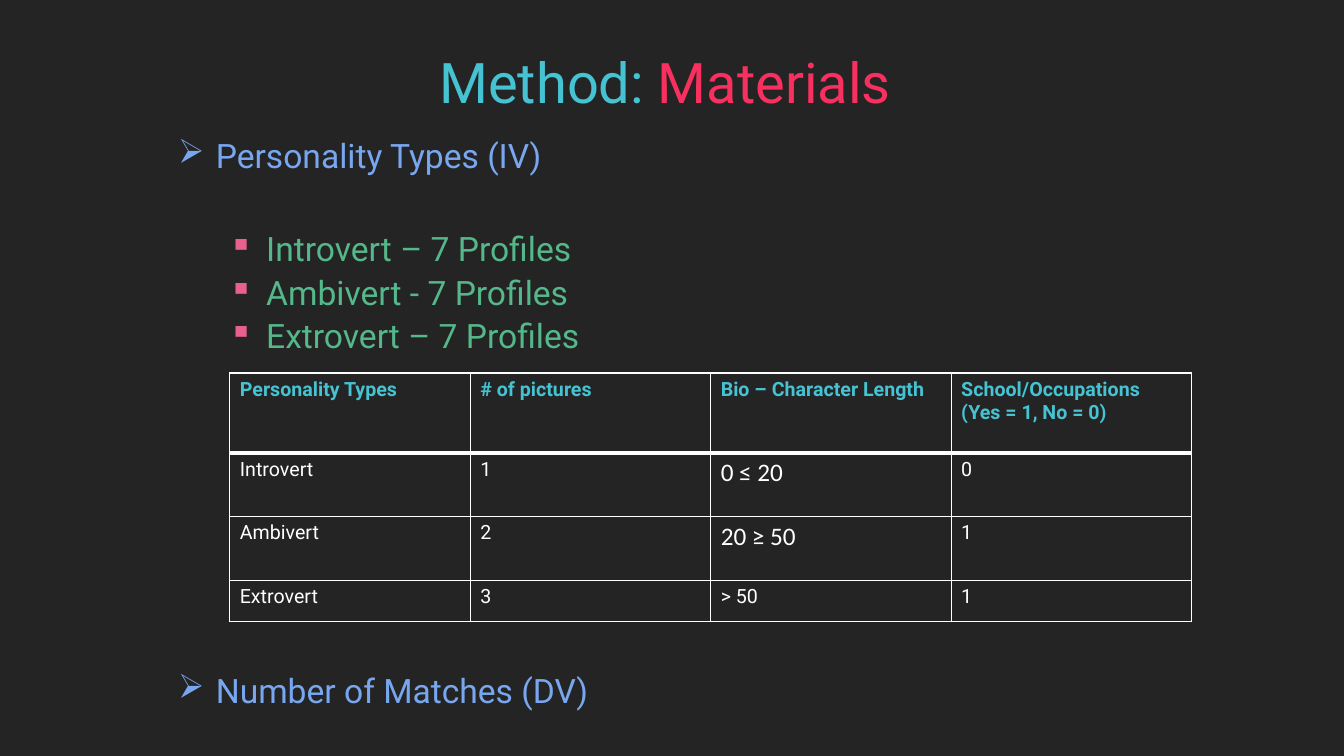
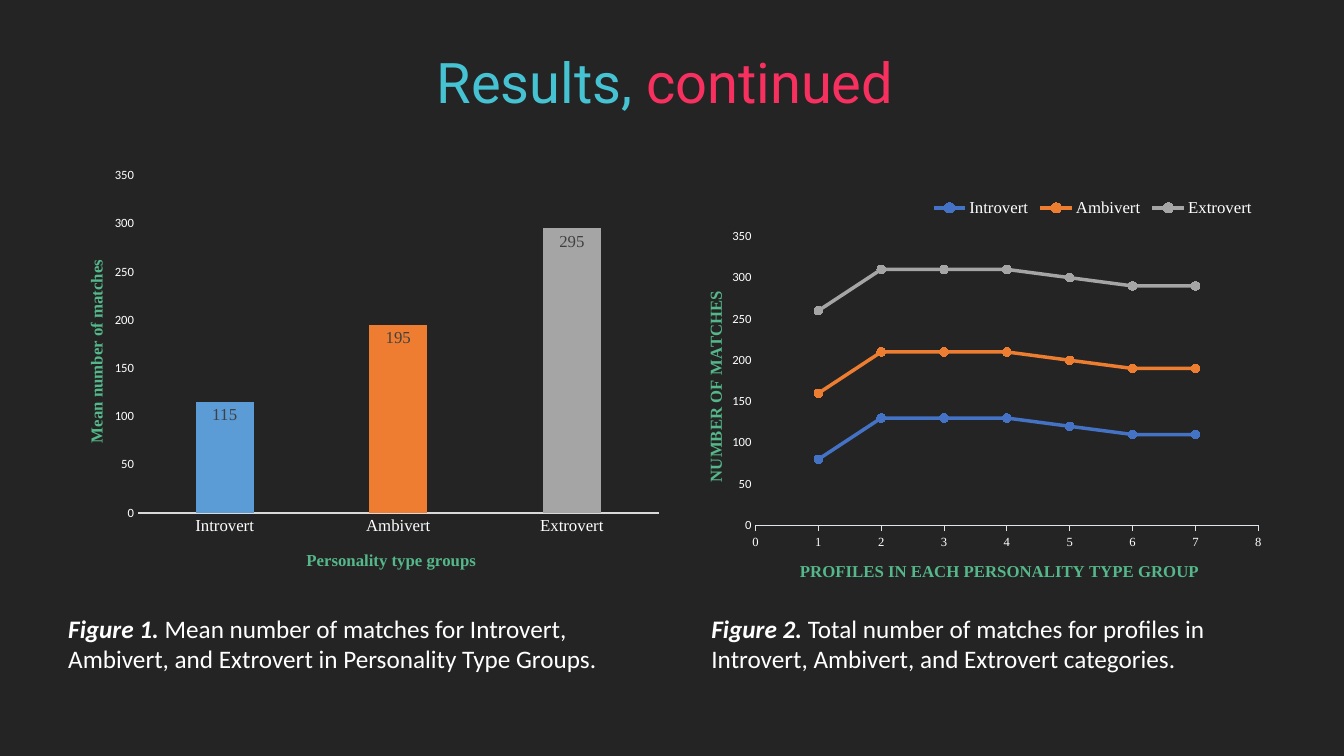
from dataclasses import dataclass

from lxml import etree
from pptx import Presentation
from pptx.chart.data import CategoryChartData, XyChartData
from pptx.dml.color import RGBColor
from pptx.enum.chart import (XL_CHART_TYPE, XL_LABEL_POSITION, XL_LEGEND_POSITION,
                             XL_MARKER_STYLE, XL_TICK_MARK)
from pptx.enum.text import MSO_AUTO_SIZE, PP_ALIGN
from pptx.oxml.ns import qn
from pptx.util import Cm, Pt

COLUMNS = XL_CHART_TYPE.COLUMN_STACKED
CURVES = XL_CHART_TYPE.XY_SCATTER_SMOOTH
INSIDE_END = XL_LABEL_POSITION.INSIDE_END
LEGEND_BOTTOM = XL_LEGEND_POSITION.BOTTOM
CIRCLE = XL_MARKER_STYLE.CIRCLE
TICK_NONE, TICK_IN, TICK_OUT = XL_TICK_MARK.NONE, XL_TICK_MARK.INSIDE, XL_TICK_MARK.OUTSIDE
GROW = MSO_AUTO_SIZE.SHAPE_TO_FIT_TEXT
CENTER = PP_ALIGN.CENTER
SLIDE_WIDTH, SLIDE_HEIGHT = 33.87, 19.05


@dataclass(frozen=True)
class Theme:
    background: str = "242424"
    white: str = "FFFFFF"
    black: str = "000000"
    cyan: str = "46C3D3"
    red: str = "F8305F"
    blue: str = "78A7F0"
    green: str = "55B88A"
    pink: str = "E76090"
    label: str = "404040"
    sans: str = "Roboto"
    plain: str = "Calibri"
    serif: str = "Times New Roman"
    title: int = 40
    body: int = 24
    caption: int = 18
    cell: int = 14
    axis: int = 12
    chart: int = 10
    tick: int = 9


THEME = Theme()


# Shared helpers
def set_all(target, values):
    for name, value in values.items():
        setattr(target, name, value)


def style_font(font, name, size, color, **flags):
    set_all(font, {"name": name, "size": Pt(size), **flags})
    font.color.rgb = RGBColor.from_string(color)


def add_span(para, text, *style, **flags):
    span = para.add_run()
    span.text = text
    style_font(span.font, *style, **flags)


def add_box(page, left, top, width, height, **frame):
    box = page.shapes.add_textbox(Cm(left), Cm(top), Cm(width), Cm(height))
    set_all(box.text_frame, {"word_wrap": True, **frame})
    return box.text_frame


def add_page(deck, lead, accent, title_width):
    page = deck.slides.add_slide(deck.slide_layouts[6])
    fill = page.background.fill
    fill.solid()
    fill.fore_color.rgb = RGBColor.from_string(THEME.background)
    frame = add_box(page, (SLIDE_WIDTH - title_width) / 2, 1.07, title_width, 1.96,
                    auto_size=GROW)
    para = frame.paragraphs[0]
    para.alignment = CENTER
    for text, color in ((lead, THEME.cyan), (accent, THEME.red)):
        add_span(para, text, THEME.sans, THEME.title, color)
    return page


# Bulleted text
def set_bullet(para, mark, margin, color):
    props = para._p.get_or_add_pPr()
    for key, value in (("marL", margin), ("indent", -0.95)):
        props.set(key, str(Cm(value)))
    shade = etree.SubElement(props, qn("a:buClr"))
    etree.SubElement(shade, qn("a:srgbClr")).set("val", color)
    etree.SubElement(props, qn("a:buChar")).set("char", mark)


def add_outline(page, entries):
    frame = add_box(page, 4.24, 3.38, 25.4, 16)
    for index, (text, level, space) in enumerate(entries):
        para = frame.add_paragraph() if index else frame.paragraphs[0]
        set_all(para, {"level": level, "line_spacing": 0.9, "space_before": Pt(space)})
        if level:
            set_bullet(para, "▪", 2.22, THEME.pink)
        else:
            set_bullet(para, "➢", 0.95, THEME.blue)
        add_span(para, text, THEME.sans, THEME.body, THEME.green if level else THEME.blue)


# Table
def set_borders(cell, **widths):
    props = cell._tc.get_or_add_tcPr()
    for side in ("L", "R", "T", "B"):
        line = etree.SubElement(props, qn(f"a:ln{side}"))
        line.set("w", str(Pt(widths.get(side, 1))))
        fill = etree.SubElement(line, qn("a:solidFill"))
        etree.SubElement(fill, qn("a:srgbClr")).set("val", THEME.white)


def add_profile_table(page, rows, column_width, heights):
    columns = len(rows[0])
    table = page.shapes.add_table(len(rows), columns, Cm(5.79), Cm(9.4),
                                  Cm(column_width * columns), Cm(sum(heights))).table
    table.horz_banding = False
    for column in table.columns:
        column.width = Cm(column_width)
    for index, (texts, height) in enumerate(zip(rows, heights)):
        table.rows[index].height = Cm(height)
        header = index == 0
        for cell, text in zip(table.rows[index].cells, texts):
            set_borders(cell, B=3 if header else 1, T=3 if index == 1 else 1)
            cell.fill.background()
            ranged = "≤" in text or "≥" in text
            name, size = (THEME.plain, THEME.caption) if ranged else (THEME.sans, THEME.cell)
            cell.text = text
            for para in cell.text_frame.paragraphs:
                style_font(para.runs[0].font, name, size,
                           THEME.cyan if header else THEME.white, bold=header)


# Charts
def place_part(part, index, **spots):
    """Give a chart part a fixed place, in fractions of the chart."""
    for old in part.findall(qn("c:layout")):
        part.remove(old)
    layout = etree.Element(qn("c:layout"))
    part.insert(index, layout)
    manual = etree.SubElement(layout, qn("c:manualLayout"))
    if "w" in spots and index == 0:
        etree.SubElement(manual, qn("c:layoutTarget")).set("val", "inner")
    for key in ("x", "y"):
        etree.SubElement(manual, qn(f"c:{key}Mode")).set("val", "edge")
    for key, value in spots.items():
        etree.SubElement(manual, qn(f"c:{key}")).set("val", str(value))


def add_chart(page, kind, data, frame, plot):
    chart = page.shapes.add_chart(kind, *map(Cm, frame), data).chart
    set_all(chart, {"has_title": False, "has_legend": False})
    style_font(chart.font, THEME.plain, THEME.chart, THEME.black)
    chart.plots[0].vary_by_categories = False
    place_part(chart.element.find(".//" + qn("c:plotArea")), 0, **plot)
    return chart


def style_axis(axis, title, spot, font, size, tick, line=None, **scale):
    set_all(axis, {"has_major_gridlines": False, "major_tick_mark": tick,
                   "minor_tick_mark": TICK_NONE, **scale})
    style_font(axis.tick_labels.font, font, size, THEME.white)
    if line:
        paint_line(axis.format.line, line, 0.75)
    else:
        axis.format.line.fill.background()
    para = axis.axis_title.text_frame.paragraphs[0]
    add_span(para, title, THEME.serif, THEME.axis, THEME.green, bold=True)
    place_part(axis.axis_title.element, 1, **spot)


def style_count_axis(axis, title, spot, tick):
    style_axis(axis, title, spot, THEME.plain, THEME.tick, tick,
               minimum_scale=0, maximum_scale=350, major_unit=50)
    set_all(axis.tick_labels, {"number_format": "0", "number_format_is_linked": False})


def paint_line(line, color, width):
    line.color.rgb = RGBColor.from_string(color)
    line.width = Pt(width)


def paint_fill(fill, color):
    fill.solid()
    fill.fore_color.rgb = RGBColor.from_string(color)


def add_mean_chart(page, groups):
    data = CategoryChartData(number_format="0")
    data.categories = [name for name, _, _ in groups]
    data.add_series("Series 1", [mean for _, mean, _ in groups])
    chart = add_chart(page, COLUMNS, data, (1.47, 3.99, 15.44, 10.77),
                      {"x": 0.13, "y": 0.04, "w": 0.85, "h": 0.79})
    plot = chart.plots[0]
    set_all(plot, {"gap_width": 199, "overlap": 100, "has_data_labels": True})
    for index, (_, _, color) in enumerate(groups):
        paint_fill(plot.series[0].points[index].format.fill, color)
    labels = plot.data_labels
    set_all(labels, {"show_value": True, "position": INSIDE_END,
                     "number_format": "0", "number_format_is_linked": False})
    style_font(labels.font, THEME.serif, THEME.axis, THEME.label)
    style_axis(chart.category_axis, "Personality type groups", {"x": 0.4, "y": 0.91},
               THEME.serif, THEME.axis, TICK_NONE, "D9D9D9")
    style_count_axis(chart.value_axis, "Mean number of matches",
                     {"x": 0.04, "y": 0.23}, TICK_IN)


def add_total_chart(page, groups):
    data = XyChartData()
    for name, totals, _, _ in groups:
        series = data.add_series(name)
        for profile, total in enumerate(totals, 1):
            series.add_data_point(profile, total)
    chart = add_chart(page, CURVES, data, (17.25, 4.42, 14.91, 10.34),
                      {"x": 0.12, "y": 0.15, "w": 0.85, "h": 0.71})
    for series, (_, _, color, dot) in zip(chart.plots[0].series, groups):
        series.smooth = True
        paint_line(series.format.line, color, 2.5)
        set_all(series.marker, {"style": CIRCLE, "size": 6})
        paint_fill(series.marker.format.fill, dot)
        paint_line(series.marker.format.line, dot, 0.75)
    style_axis(chart.category_axis, "PROFILES IN EACH PERSONALITY TYPE GROUP",
               {"x": 0.19, "y": 0.94}, THEME.serif, THEME.tick, TICK_OUT, "E0E5EB",
               minimum_scale=0, maximum_scale=8, major_unit=1)
    style_count_axis(chart.value_axis, "NUMBER OF MATCHES",
                     {"x": 0.03, "y": 0.28}, TICK_NONE)
    chart.has_legend = True
    set_all(chart.legend, {"position": LEGEND_BOTTOM, "include_in_layout": False})
    style_font(chart.legend.font, THEME.serif, THEME.axis, THEME.white)
    place_part(chart.element.find(".//" + qn("c:legend")), 1, x=0.41, y=0.05, w=0.56, h=0.06)


def add_caption(page, left, label, text):
    para = add_box(page, left, 15.32, 15.44, 1.8, auto_size=GROW).paragraphs[0]
    for part, strong in ((label, True), (text, False)):
        add_span(para, part, THEME.plain, THEME.caption, THEME.white,
                 bold=strong, italic=strong)


# Slides
def build_materials(deck):
    page = add_page(deck, "Method: ", "Materials ", 25.4)
    add_outline(page, [
        ("Personality Types (IV)", 0, 10),
        ("Introvert – 7 Profiles", 1, 41),
        ("Ambivert - 7 Profiles", 1, 5),
        ("Extrovert – 7 Profiles", 1, 5),
        ("Number of Matches (DV)", 0, 227.5),
    ])
    add_profile_table(page, [
        ("Personality Types", "# of pictures", "Bio – Character Length",
         "School/Occupations\n(Yes = 1, No = 0)"),
        ("Introvert", "1", "0 ≤ 20", "0"),
        ("Ambivert", "2", "20 ≥ 50", "1"),
        ("Extrovert", "3", "> 50", "1"),
    ], 6.06, (2.01, 1.61, 1.61, 1.04))


def build_results(deck):
    page = add_page(deck, "Results, ", "continued ", 16.94)
    add_mean_chart(page, [("Introvert", 115, "5B9BD6"), ("Ambivert", 195, "EE7D31"),
                          ("Extrovert", 295, "A5A5A5")])
    add_caption(page, 1.47, "Figure 1. ", "Mean number of matches for Introvert, "
                "Ambivert, and Extrovert in Personality Type Groups.")
    add_total_chart(page, [
        ("Introvert", (80, 130, 130, 130, 120, 110, 110), "4472C4", "3E70CA"),
        ("Ambivert", (160, 210, 210, 210, 200, 190, 190), "ED7D31", "F67B28"),
        ("Extrovert", (260, 310, 310, 310, 300, 290, 290), "A5A5A5", "A5A5A5"),
    ])
    add_caption(page, 17.68, "Figure 2. ", "Total number of matches for profiles in "
                "Introvert, Ambivert, and Extrovert categories.")


def main():
    deck = Presentation()
    set_all(deck, {"slide_width": Cm(SLIDE_WIDTH), "slide_height": Cm(SLIDE_HEIGHT)})
    build_materials(deck)
    build_results(deck)
    deck.save("out.pptx")


main()
